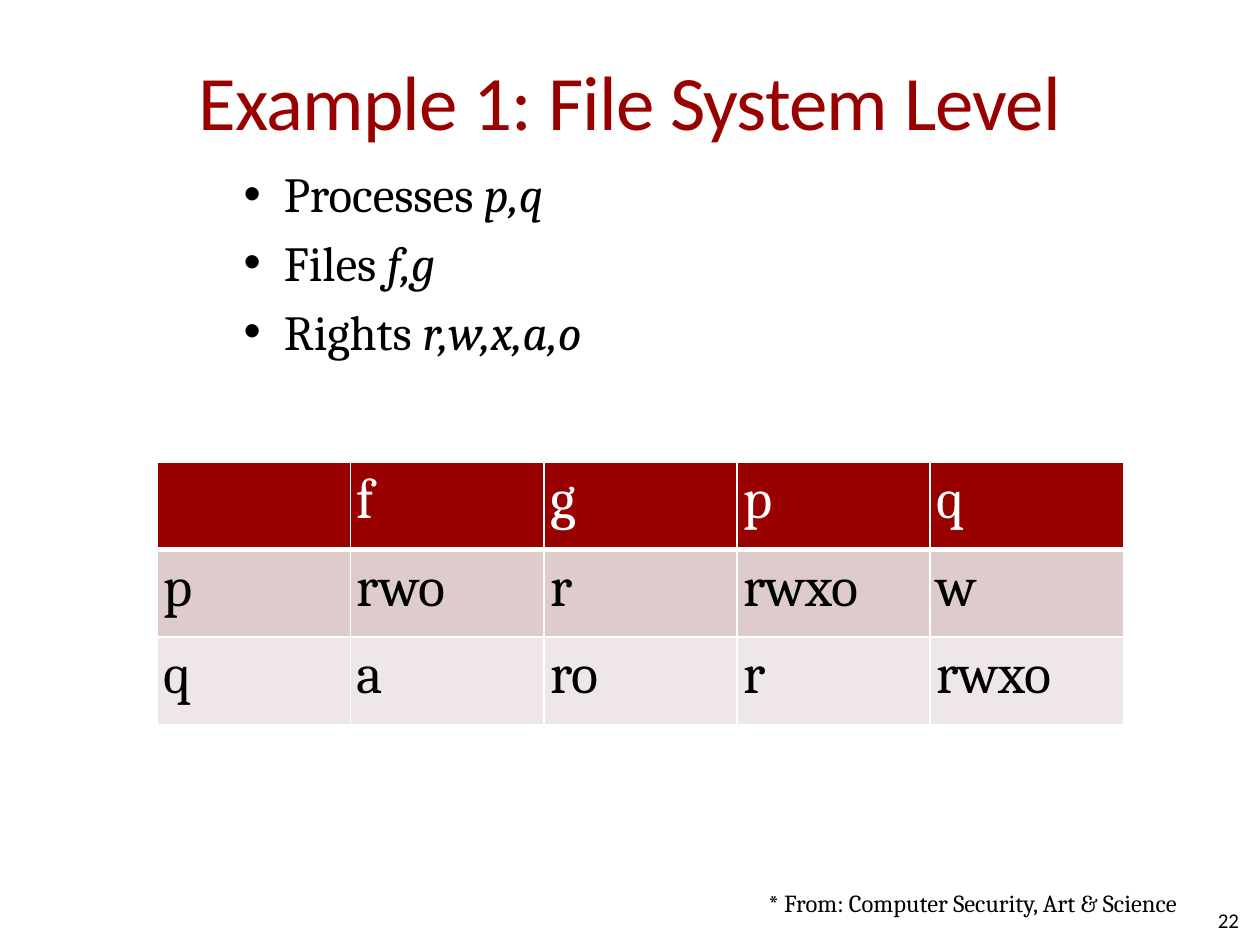
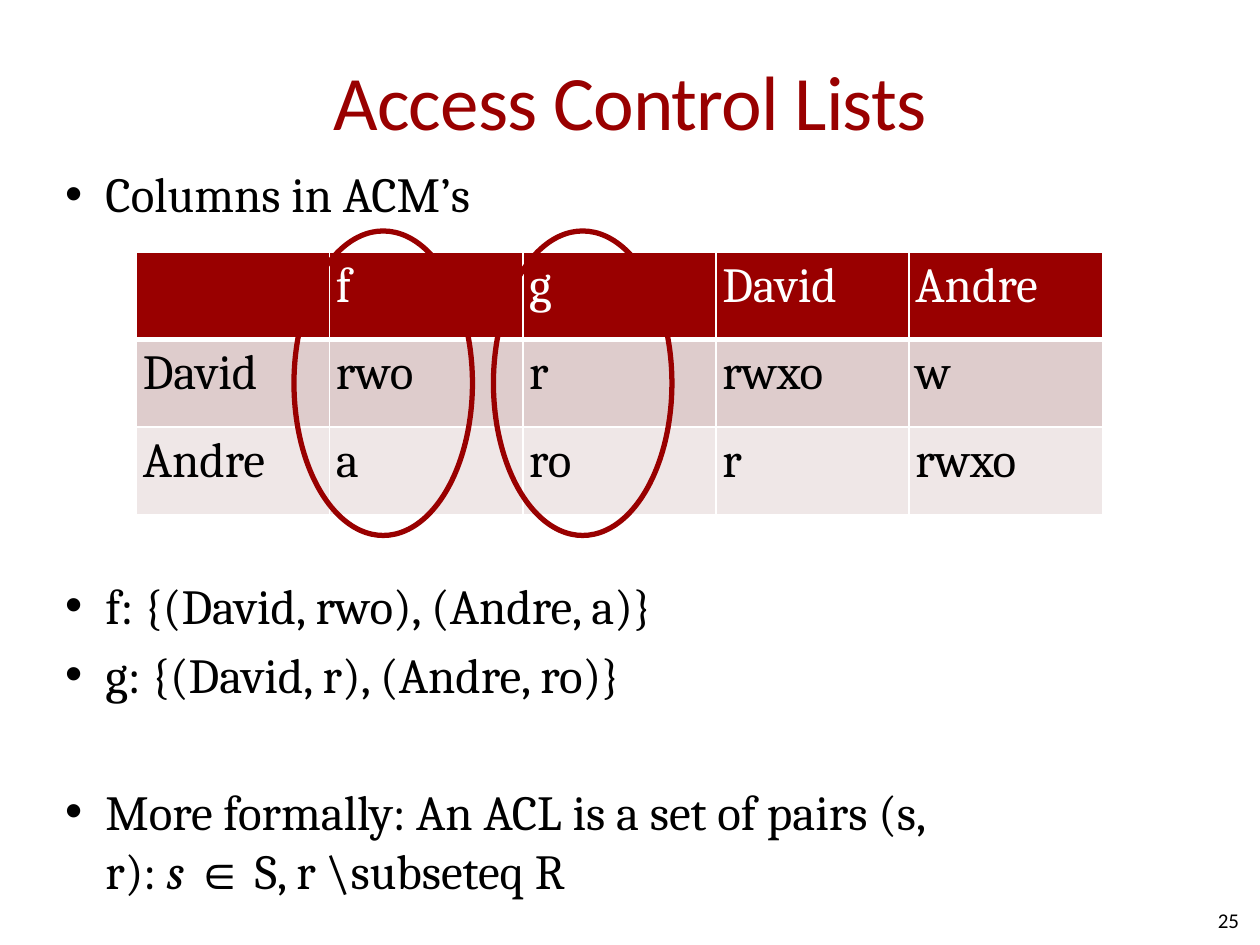
from dataclasses import dataclass

from lxml.etree import SubElement
from pptx import Presentation
from pptx.dml.color import RGBColor
from pptx.enum.shapes import MSO_SHAPE
from pptx.enum.text import MSO_ANCHOR, MSO_AUTO_SIZE, PP_ALIGN
from pptx.oxml.ns import qn
from pptx.util import Emu, Inches, Pt

CRIMSON = RGBColor(0x99, 0x00, 0x00)
ROSE = RGBColor(0xDE, 0xCC, 0xCC)
PALE_ROSE = RGBColor(0xEF, 0xE7, 0xE7)
BLACK = RGBColor(0x00, 0x00, 0x00)
WHITE = RGBColor(0xFF, 0xFF, 0xFF)

SANS, SERIF, SYMBOL = "Calibri", "Cambria", "Arial"
UNIT = Inches(1) // 12  # the slide is a grid of 120 columns by 90 rows
BULLET_INDENT = Inches(0.32)
BODY_SIZE, ITEM_GAP, SKIPPED_LINE = 28, 5.6, 39.2
CELL_MARGIN = Inches(0.05)
THIN, THICK = Pt(0.96), Pt(3)


@dataclass(frozen=True)
class Box:
    """Left, top, width and height in grid units."""
    col: float
    row: float
    cols: float
    rows: float

    def emu(self) -> tuple[Emu, ...]:
        return tuple(Emu(round(n * UNIT)) for n in (self.col, self.row, self.cols, self.rows))


@dataclass(frozen=True)
class Run:
    text: str
    italic: bool = False
    font: str = SERIF


@dataclass(frozen=True)
class Item:
    """A bullet, set below a number of skipped lines."""
    runs: tuple[Run, ...]
    skipped: int = 0


@dataclass(frozen=True)
class Matrix:
    box: Box
    size: int
    subjects: tuple[str, str]


@dataclass(frozen=True)
class SlideContent:
    title: str
    number: str
    body: Box
    items: tuple[Item, ...]
    matrix: Matrix
    ovals: tuple[Box, ...] = ()
    source: str = ""


TITLE_BOX = Box(6, 2, 108, 15)
NUMBER_BOX = Box(90, 85.2, 28, 4.8)
SOURCE_BOX = Box(72, 84, 42, 4)

SLIDES = (
    SlideContent(
        title="Example 1: File System Level",
        number="22",
        body=Box(22, 15, 55, 69),
        items=tuple(
            Item((Run(label), Run(names, italic=True)))
            for label, names in (("Processes ", "p,q"), ("Files ", "f,g"), ("Rights ", "r,w,x,a,o"))
        ),
        matrix=Matrix(Box(15, 44, 92, 25), 32, ("p", "q")),
        source="* From: Computer Security, Art & Science",
    ),
    SlideContent(
        title="Access Control Lists",
        number="25",
        body=Box(5, 15, 90, 69),
        items=(
            Item((Run("Columns in ACM’s"),)),
            Item((Run("f: {(David, rwo), (Andre, a)}"),), skipped=5),
            Item((Run("g: {(David, r), (Andre, ro)}"),)),
            Item((
                Run("More formally: An ACL is a set of pairs (s, r): "),
                Run("s ", italic=True),
                Run("∈", font=SYMBOL),
                Run(" S, r \\subseteq R"),
            ), skipped=1),
        ),
        matrix=Matrix(Box(13, 24, 92, 25), 28, ("David", "Andre")),
        ovals=tuple(Box(28 + 19 * i, 22, 17, 29) for i in range(2)),
    ),
)


def add_text(p, text: str, *, size: float, font: str = SERIF, color: RGBColor = BLACK,
             italic: bool = False, align: PP_ALIGN | None = None, spacing: float = 0) -> None:
    """Append a formatted run to a paragraph; spacing is in points."""
    r = p.add_run()
    r.text = text
    r.font.size, r.font.name, r.font.italic = Pt(size), font, italic
    r.font.color.rgb = color
    if spacing:
        r.font._element.set("spc", str(round(spacing * 100)))
    if align is not None:
        p.alignment = align


def place(sp, box: Box) -> None:
    sp.left, sp.top, sp.width, sp.height = box.emu()


def fill_title(sp, title: str) -> None:
    place(sp, TITLE_BOX)
    tf = sp.text_frame
    tf.auto_size, tf.vertical_anchor = MSO_AUTO_SIZE.NONE, MSO_ANCHOR.MIDDLE
    tf.margin_left = tf.margin_right = 0
    add_text(tf.paragraphs[0], title, size=44, font=SANS, color=CRIMSON,
             align=PP_ALIGN.CENTER, spacing=-0.5)


def fill_body(sp, box: Box, items: tuple[Item, ...]) -> None:
    place(sp, box)
    tf = sp.text_frame
    tf.auto_size = MSO_AUTO_SIZE.NONE
    for i, item in enumerate(items):
        p = tf.add_paragraph() if i else tf.paragraphs[0]
        p.space_before = Pt(ITEM_GAP + item.skipped * SKIPPED_LINE)
        pPr = p._p.get_or_add_pPr()
        pPr.set("marL", str(BULLET_INDENT))
        pPr.set("indent", str(-BULLET_INDENT))
        for run in item.runs:
            add_text(p, run.text, size=BODY_SIZE, font=run.font, italic=run.italic)


def set_borders(cell, top: Emu, bottom: Emu) -> None:
    """Draw white borders, thin at the sides."""
    tcPr = cell._tc.get_or_add_tcPr()
    for i, (side, width) in enumerate((("L", THIN), ("R", THIN), ("T", top), ("B", bottom))):
        ln = SubElement(tcPr, qn(f"a:ln{side}"), w=str(width))
        SubElement(SubElement(ln, qn("a:solidFill")), qn("a:srgbClr"), val=str(WHITE))
        tcPr.insert(i, ln)


def add_matrix(slide, matrix: Matrix) -> None:
    """Draw the access control matrix of two subjects over files f and g."""
    first, second = matrix.subjects
    rows = (
        ("", "f", "g", first, second),
        (first, "rwo", "r", "rwxo", "w"),
        (second, "a", "ro", "r", "rwxo"),
    )
    table = slide.shapes.add_table(len(rows), len(rows[0]), *matrix.box.emu()).table
    for y, (row, fill) in enumerate(zip(rows, (CRIMSON, ROSE, PALE_ROSE))):
        for x, text in enumerate(row):
            cell = table.cell(y, x)
            cell.margin_left = cell.margin_right = CELL_MARGIN
            cell.margin_top = cell.margin_bottom = CELL_MARGIN
            cell.fill.solid()
            cell.fill.fore_color.rgb = fill
            set_borders(cell, top=THICK if y == 1 else THIN, bottom=THICK if y == 0 else THIN)
            if text:
                add_text(cell.text_frame.paragraphs[0], text, size=matrix.size,
                         color=BLACK if y else WHITE)


def add_oval(slide, box: Box) -> None:
    sp = slide.shapes.add_shape(MSO_SHAPE.OVAL, *box.emu())
    sp.shadow.inherit = False
    sp.fill.background()
    sp.line.color.rgb, sp.line.width = CRIMSON, THICK


def add_source(slide, source: str) -> None:
    tf = slide.shapes.add_textbox(*SOURCE_BOX.emu()).text_frame
    tf.word_wrap = False
    add_text(tf.paragraphs[0], source, size=14)


def add_number(slide, number: str) -> None:
    tf = slide.shapes.add_textbox(*NUMBER_BOX.emu()).text_frame
    tf.word_wrap, tf.vertical_anchor = True, MSO_ANCHOR.MIDDLE
    tf.margin_left = tf.margin_top = tf.margin_right = tf.margin_bottom = 0
    add_text(tf.paragraphs[0], number, size=12, font=SANS, align=PP_ALIGN.RIGHT)


def build_slide(prs, content: SlideContent) -> None:
    slide = prs.slides.add_slide(prs.slide_layouts[1])
    title, body = slide.placeholders
    fill_title(title, content.title)
    fill_body(body, content.body, content.items)
    add_matrix(slide, content.matrix)
    for box in content.ovals:
        add_oval(slide, box)
    if content.source:
        add_source(slide, content.source)
    add_number(slide, content.number)


def main() -> None:
    prs = Presentation()
    prs.slide_width, prs.slide_height = 120 * UNIT, 90 * UNIT
    for content in SLIDES:
        build_slide(prs, content)
    prs.save("out.pptx")


if __name__ == "__main__":
    main()
